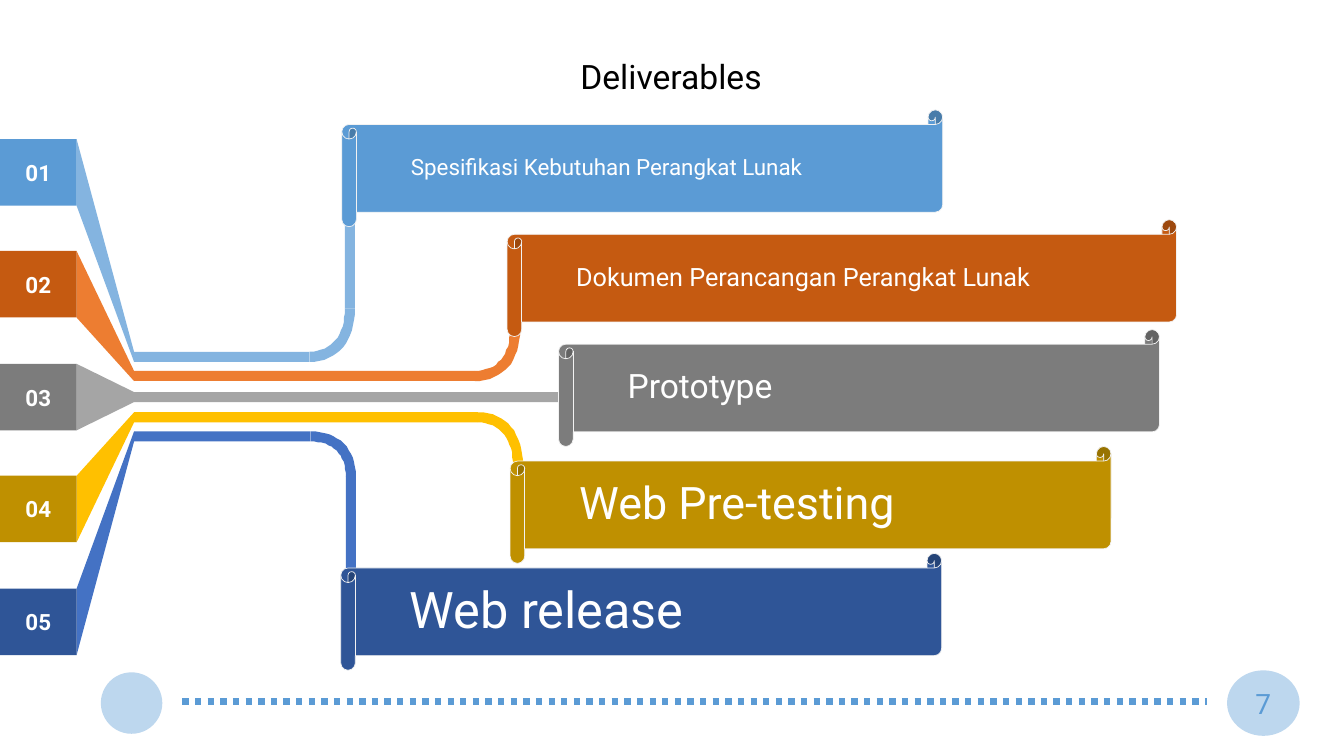
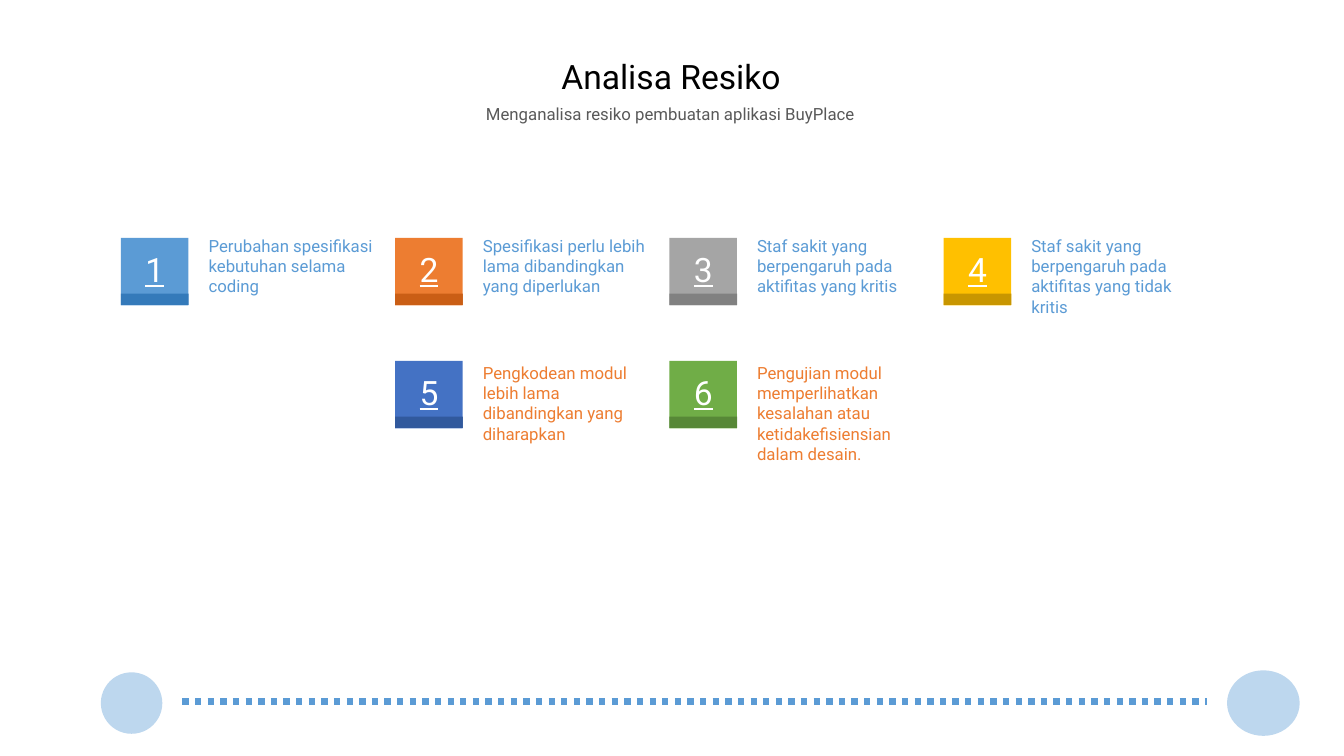
import math
from dataclasses import dataclass
from typing import Any, Optional

import pptx
import pptx.util
import pptx.dml.color
import pptx.enum.dml
import pptx.enum.shapes
import pptx.enum.text
import pptx.oxml
import pptx.oxml.ns

# Shared scale, colours and text formats
PX = 9144  # 100 px to the inch
FONT = "Roboto"
WHITE, BLACK, GREY_TEXT = "FFFFFF", "000000", "595959"
BLUE, PALE_BLUE, ORANGE = "5B9BD5", "BDD7EE", "ED7D31"

SHAPE = pptx.enum.shapes.MSO_SHAPE
ALIGN = pptx.enum.text.PP_ALIGN
ANCHOR = pptx.enum.text.MSO_ANCHOR
Pt = pptx.util.Pt

TITLE = {"size": Pt(24)}
SUBTITLE = {"size": Pt(12)}
PAGE_NUMBER = {"size": Pt(20)}
TAG = {"size": Pt(16), "bold": True}
DIGIT = {"size": Pt(24), "underline": True}
RISK = {"size": Pt(12)}

# Lane geometry shared by every deliverable
LANE = 10
TAG_W, TAG_H = 76, 66
TIP_X = 133
BEND_W = 45
BANNER_H = 116
ROUNDNESS = 0.62


@dataclass
class Bend:
    right: int
    end: int


@dataclass
class Deliverable:
    text: str
    size: int
    dark: str
    light: str
    lane_y: int
    banner_x: int
    banner_y: int
    banner_w: int
    bend: Optional[Bend] = None


@dataclass
class Risk:
    column: int
    row: int
    fill: str
    band: str
    lines: list[str]


DELIVERABLES = [
    Deliverable("Spesifikasi Kebutuhan Perangkat Lunak", 16, BLUE, "84B4E0",
                349, 339, 109, 596, Bend(352, 306)),
    Deliverable("Dokumen Perancangan Perangkat Lunak", 18, "C55A11", ORANGE,
                368, 503, 218, 664, Bend(516, 326)),
    Deliverable("Prototype", 24, "7C7C7C", "A5A5A5", 389, 554, 327, 596),
    Deliverable("Web Pre-testing", 32, "BF9000", "FFC000",
                409, 506, 443, 596, Bend(519, 464)),
    Deliverable("Web release", 36, "2F5597", "4472C4",
                428, 338, 549, 596, Bend(353, 473)),
]

RISKS = [
    Risk(0, 0, BLUE, "2E75B6",
         ["Perubahan spesifikasi", "kebutuhan selama", "coding"]),
    Risk(1, 0, ORANGE, "C55A11",
         ["Spesifikasi perlu lebih", "lama dibandingkan", "yang diperlukan"]),
    Risk(2, 0, "A5A5A5", "7C7C7C",
         ["Staf sakit yang", "berpengaruh pada", "aktifitas yang kritis"]),
    Risk(3, 0, "FFC000", "BF9000",
         ["Staf sakit yang", "berpengaruh pada", "aktifitas yang tidak", "kritis"]),
    Risk(1, 1, "4472C4", "2F5597",
         ["Pengkodean modul", "lebih lama", "dibandingkan yang", "diharapkan"]),
    Risk(2, 1, "70AD47", "548235",
         ["Pengujian modul", "memperlihatkan", "kesalahan atau",
          "ketidakefisiensian", "dalam desain."]),
]


# Drawing helpers
def rgb(color: str) -> pptx.dml.color.RGBColor:
    return pptx.dml.color.RGBColor.from_string(color)


def paint(sp: Any, fill: str, line: Optional[str] = None) -> None:
    sp.shadow.inherit = False
    sp.fill.solid()
    sp.fill.fore_color.rgb = rgb(fill)
    if line:
        sp.line.color.rgb = rgb(line)
        sp.line.width = Pt(0.5)
    else:
        sp.line.fill.background()


def add_shape(s: Any, kind: Any, x: int, y: int, w: int, h: int,
              fill: str, line: Optional[str] = None) -> Any:
    sp = s.shapes.add_shape(kind, x * PX, y * PX, w * PX, h * PX)
    paint(sp, fill, line)
    return sp


def add_polygon(s: Any, points: list[tuple[float, float]], fill: str) -> None:
    builder = s.shapes.build_freeform(*points[0], scale=PX)
    builder.add_line_segments(points[1:], close=True)
    paint(builder.convert_to_shape(), fill)


def add_line(s: Any, x1: int, x2: int, y: int, color: str, width: float) -> Any:
    cn = s.shapes.add_connector(pptx.enum.shapes.MSO_CONNECTOR.STRAIGHT,
                                x1 * PX, y * PX, x2 * PX, y * PX)
    cn.line.color.rgb = rgb(color)
    cn.line.width = Pt(width)
    cn._element.spPr.append(pptx.oxml.parse_xml(
        "<a:effectLst %s/>" % pptx.oxml.ns.nsdecls("a")))
    return cn


def set_text(sp: Any, lines: list[str], font: dict[str, Any], color: str,
             align: Any = ALIGN.CENTER, frame: Optional[dict[str, Any]] = None,
             para: Optional[dict[str, Any]] = None) -> None:
    tf = sp.text_frame
    for name, value in {"word_wrap": True, **(frame or {})}.items():
        setattr(tf, name, value)
    for i, line in enumerate(lines):
        p = tf.paragraphs[0] if i == 0 else tf.add_paragraph()
        for name, value in {"alignment": align, **(para or {})}.items():
            setattr(p, name, value)
        r = p.add_run()
        r.text = line
        for name, value in {"name": FONT, **font}.items():
            setattr(r.font, name, value)
        r.font.color.rgb = rgb(color)


def add_text(s: Any, x: int, y: int, w: int, h: int, *args: Any,
             **formats: Any) -> None:
    sp = s.shapes.add_textbox(x * PX, y * PX, w * PX, h * PX)
    set_text(sp, *args, **formats)


def no_margins() -> dict[str, Any]:
    sides = ("left", "right", "top", "bottom")
    return {"vertical_anchor": ANCHOR.MIDDLE,
            **{f"margin_{side}": 0 for side in sides}}


# Parts common to both slides
def start_slide(prs: Any, title: str, number: str = "") -> Any:
    s = prs.slides.add_slide(prs.slide_layouts[6])
    add_shape(s, SHAPE.OVAL, 100, 667, 61, 61, PALE_BLUE)
    dots = add_line(s, 181, 1197, 696, BLUE, 4.5)
    dots.line.dash_style = pptx.enum.dml.MSO_LINE.ROUND_DOT
    badge = add_shape(s, SHAPE.OVAL, 1217, 665, 72, 65, PALE_BLUE)
    if number:
        set_text(badge, [number], PAGE_NUMBER, BLUE, frame=no_margins())
    add_text(s, 440, 31, 451, 63, [title], TITLE, BLACK,
             para={"line_spacing": 1.5, "space_before": Pt(5)})
    return s


# Deliverables: tag, fan, lane, bend, riser and banner
def quarter(x: int, y: int, rx: int, ry: int) -> list[tuple[float, float]]:
    """Points of a rounded corner from (x, y) to (x + rx, y + ry)."""
    points = []
    for i in range(17):
        t = i / 16
        b1, b2, b3 = 3 * t * (1 - t) ** 2, 3 * t * t * (1 - t), t ** 3
        points.append((x + rx * (b1 * ROUNDNESS + b2 + b3),
                       y + ry * (b2 * (1 - ROUNDNESS) + b3)))
    return points


def draw_bend(s: Any, d: Deliverable, bend: Bend) -> None:
    x = bend.right - BEND_W
    top, bottom = d.lane_y, d.lane_y + LANE
    outer, inner = (bottom, top) if bend.end < top else (top, bottom)
    outside = quarter(x, outer, BEND_W, bend.end - outer)
    inside = quarter(x, inner, BEND_W - LANE, bend.end - inner)
    add_polygon(s, outside + inside[::-1], d.light)
    # A riser fills the gap when the bend stops short of the banner
    if not d.banner_y <= bend.end <= d.banner_y + BANNER_H:
        middle = d.banner_y + BANNER_H // 2
        add_shape(s, SHAPE.RECTANGLE, bend.right - LANE, min(middle, bend.end),
                  LANE, abs(middle - bend.end), d.light)


def draw_deliverable(s: Any, index: int, d: Deliverable) -> None:
    tag_y = 138 + index * 446 // 4
    add_polygon(s, [(TIP_X, d.lane_y), (TAG_W, tag_y), (TAG_W, tag_y + TAG_H),
                    (TIP_X, d.lane_y + LANE)], d.light)
    tag = add_shape(s, SHAPE.RECTANGLE, 0, tag_y, TAG_W, TAG_H, d.dark)
    set_text(tag, [f"{index + 1:02d}"], TAG, WHITE, frame=no_margins())
    lane_end = d.bend.right - BEND_W if d.bend else d.banner_x + 5
    add_shape(s, SHAPE.RECTANGLE, TIP_X, d.lane_y, lane_end - TIP_X, LANE, d.light)
    if d.bend:
        draw_bend(s, d, d.bend)
    banner = add_shape(s, SHAPE.HORIZONTAL_SCROLL, d.banner_x, d.banner_y,
                       d.banner_w, BANNER_H, d.dark, "F2F2F2")
    set_text(banner, [d.text], {"size": Pt(d.size)}, WHITE, ALIGN.LEFT,
             {**no_margins(), "margin_left": 54 * PX}, {"line_spacing": 0.9})


# Risks: numbered tile with a darker band, text beside it
def draw_risk(s: Any, number: int, risk: Risk) -> None:
    x = 120 + 272 * risk.column
    y, text_y, color = [(236, 229, BLUE), (358, 355, ORANGE)][risk.row]
    side = 67
    tile = add_shape(s, SHAPE.RECTANGLE, x, y, side, side, risk.fill)
    set_text(tile, [str(number)], DIGIT, WHITE, frame=no_margins(),
             para={"line_spacing": 0.9})
    band = add_line(s, x, x + side, y + 61, risk.band, 8)
    for clr in band._element.iter(pptx.oxml.ns.qn("a:srgbClr")):
        clr.append(pptx.oxml.parse_xml(
            '<a:alpha %s val="85000"/>' % pptx.oxml.ns.nsdecls("a")))
    add_text(s, x + 77, text_y, 191, 20 * len(risk.lines) + 10, risk.lines,
             RISK, color, ALIGN.LEFT)


def main() -> None:
    prs = pptx.Presentation()
    prs.slide_width, prs.slide_height = 1333 * PX, 750 * PX

    s = start_slide(prs, "Deliverables", "7")
    for index, deliverable in enumerate(DELIVERABLES):
        draw_deliverable(s, index, deliverable)

    s = start_slide(prs, "Analisa Resiko")
    add_text(s, 422, 93, 486, 40,
             ["Menganalisa resiko pembuatan aplikasi BuyPlace"], SUBTITLE,
             GREY_TEXT, frame={"vertical_anchor": ANCHOR.MIDDLE})
    for number, risk in enumerate(RISKS, start=1):
        draw_risk(s, number, risk)

    prs.save("out.pptx")


if __name__ == "__main__":
    main()
